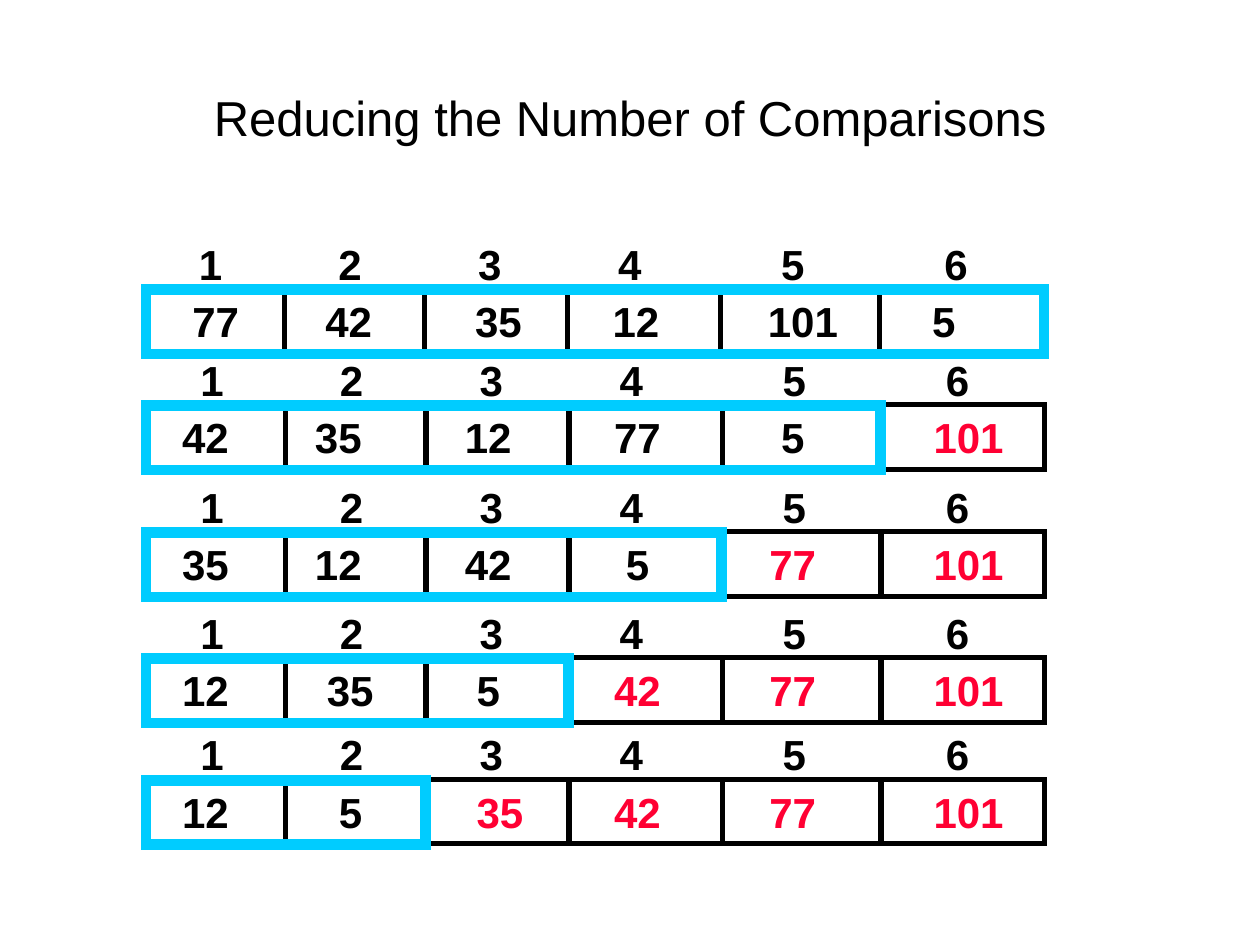
from lxml import etree
from pptx import Presentation
from pptx.dml.color import RGBColor
from pptx.enum.shapes import MSO_CONNECTOR, MSO_SHAPE
from pptx.enum.text import MSO_ANCHOR, MSO_AUTO_SIZE, PP_ALIGN
from pptx.oxml.ns import qn
from pptx.util import Cm, Pt

STRAIGHT = MSO_CONNECTOR.STRAIGHT
RECTANGLE = MSO_SHAPE.RECTANGLE
MIDDLE = MSO_ANCHOR.MIDDLE
GROW = MSO_AUTO_SIZE.SHAPE_TO_FIT_TEXT
CENTER = PP_ALIGN.CENTER

FONT = "Arial"
COLORS = {"ink": "000000", "sorted": "FF0033", "active": "00CCFF"}

# All lengths in cm; the columns are measured from the left of the array
CELL_EDGES = [2.81, 5.64, 8.52, 11.61, 14.81, 18.11]
VALUE_LEFTS = [0.47, 3.15, 6.17, 9.18, 12.07, 15.38]
INDEX_TABS = [2.81, 5.63, 8.45, 11.74, 15.03]
INDEX_LEFT, INDEX_RISE, INDEX_WIDTH = 0.84, 1.14, 16.05
ARRAY_HEIGHT, TEXT_HEIGHT = 1.3, 1.27
DIGIT_WIDTH, INDENT_STEP, INSET = 0.5, 0.24, 0.25
ACTIVE_LEFT = 2.94

# Left, top, values, indent steps of the values, cells still compared
PASSES = [
    (2.92, 5.82, [77, 42, 35, 12, 101, 5], [1, 1, 1, 0, 1, 1], 6),
    (2.95, 8.16, [42, 35, 12, 77, 5, 101], [0, 0, 0, 0, 2, 1], 5),
    (2.95, 10.72, [35, 12, 42, 5, 77, 101], [0, 0, 0, 1, 1, 1], 4),
    (2.95, 13.26, [12, 35, 5, 42, 77, 101], [0, 1, 1, 0, 1, 1], 3),
    (2.95, 15.71, [12, 5, 35, 42, 77, 101], [0, 2, 1, 0, 1, 1], 2),
]


def rgb(name):
    return RGBColor.from_string(COLORS[name])


def style_text(paragraph, size, color, bold=False):
    for run in paragraph.runs:
        run.font.name = FONT
        run.font.size = Pt(size)
        run.font.bold = bold
        run.font.color.rgb = rgb(color)


def add_title(slide, text):
    title = slide.shapes.add_textbox(Cm(1.27), Cm(0.76), Cm(22.86), Cm(3.18))
    frame = title.text_frame
    frame.word_wrap = True
    frame.vertical_anchor = MIDDLE
    frame.text = text
    frame.paragraphs[0].alignment = CENTER
    style_text(frame.paragraphs[0], 28, "ink")


def add_label(shapes, text, left, top, width, color="ink", indent=0):
    label = shapes.add_textbox(Cm(left), Cm(top), Cm(width), Cm(TEXT_HEIGHT))
    frame = label.text_frame
    frame.word_wrap = False
    frame.auto_size = GROW
    frame.margin_left = Cm(INSET + indent)
    frame.text = text
    style_text(frame.paragraphs[0], 24, color, bold=True)
    return frame.paragraphs[0]


def add_frame(shapes, left, top, width, color, weight):
    frame = shapes.add_shape(RECTANGLE, Cm(left), Cm(top), Cm(width), Cm(ARRAY_HEIGHT))
    frame.shadow.inherit = False
    frame.fill.background()
    frame.line.color.rgb = rgb(color)
    frame.line.width = Pt(weight)
    # Sharp corners
    etree.SubElement(frame.line._get_or_add_ln(), qn("a:miter"), lim="800000")


def add_divider(shapes, x, top):
    divider = shapes.add_connector(STRAIGHT, Cm(x), Cm(top), Cm(x), Cm(top + ARRAY_HEIGHT))
    divider.line.color.rgb = rgb("ink")
    divider.line.width = Pt(3)
    etree.SubElement(divider._element.spPr, qn("a:effectLst"))


def add_indexes(shapes, left, top):
    numbers = "\t".join(str(n) for n in range(1, len(CELL_EDGES) + 1))
    paragraph = add_label(shapes, numbers, left + INDEX_LEFT, top - INDEX_RISE, INDEX_WIDTH)
    tabs = etree.SubElement(paragraph._p.get_or_add_pPr(), qn("a:tabLst"))
    for position in INDEX_TABS:
        etree.SubElement(tabs, qn("a:tab"), pos=str(Cm(position)), algn="l")


def add_pass(slide, left, top, values, indents, active):
    shapes = slide.shapes.add_group_shape().shapes

    # Array cells
    add_frame(shapes, left, top, CELL_EDGES[-1], "ink", 3)
    for edge in CELL_EDGES[:-1]:
        add_divider(shapes, left + edge, top)

    # Values, with those already in place highlighted
    for column, (value, steps) in enumerate(zip(values, indents)):
        text = str(value)
        indent = steps * INDENT_STEP
        width = 2 * INSET + indent + len(text) * DIGIT_WIDTH
        color = "ink" if column < active else "sorted"
        add_label(shapes, text, left + VALUE_LEFTS[column], top + 0.02, width, color, indent)

    add_indexes(shapes, left, top)

    # Part of the array still compared
    add_frame(shapes, ACTIVE_LEFT, top + 0.02, CELL_EDGES[active - 1], "active", 6)


def main():
    prs = Presentation()
    prs.slide_width, prs.slide_height = Cm(25.4), Cm(19.05)
    slide = prs.slides.add_slide(prs.slide_layouts[6])
    add_title(slide, "Reducing the Number of Comparisons")
    for sorting_pass in PASSES:
        add_pass(slide, *sorting_pass)
    prs.save("out.pptx")


if __name__ == "__main__":
    main()
